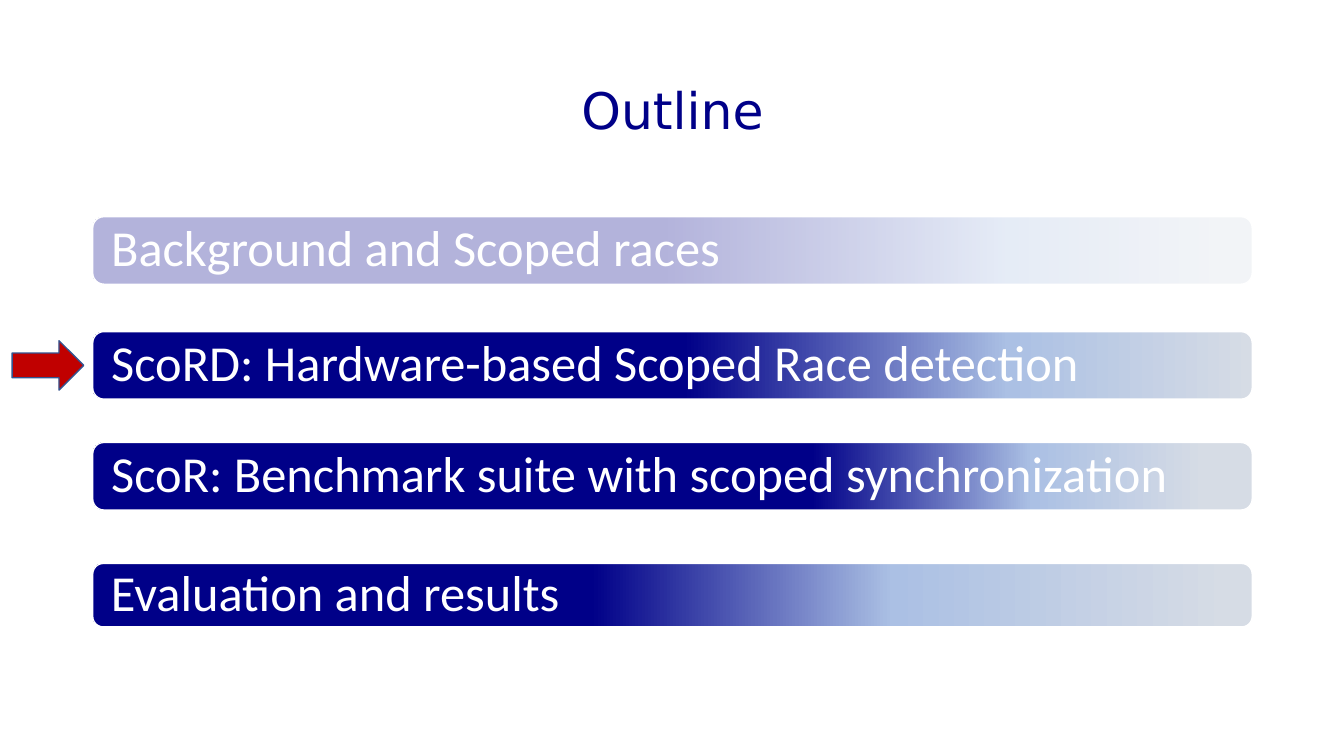
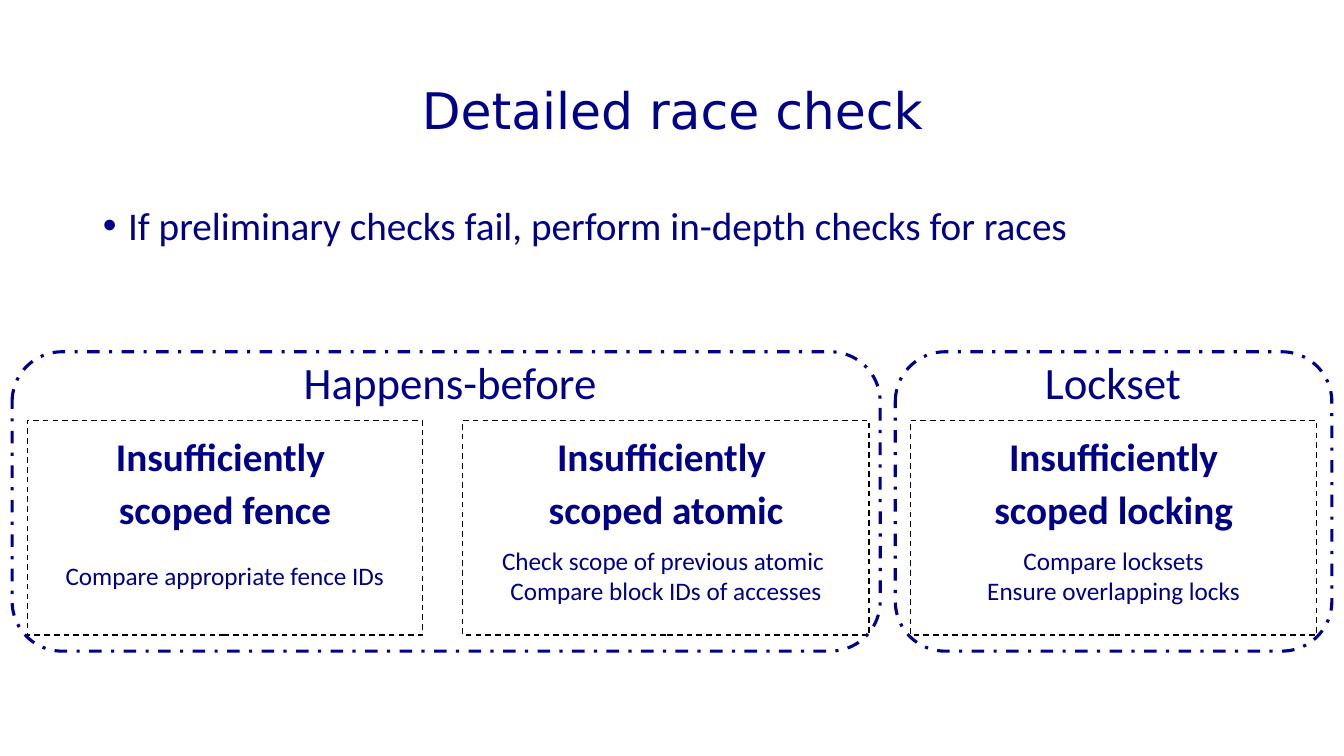
"""Build two slides: a talk outline and a detailed race check."""
from pptx import Presentation
from pptx import util as u
from pptx.dml.color import RGBColor
from pptx.enum import dml, shapes, text
from pptx.oxml import parse_xml
from pptx.oxml.ns import nsdecls

PX = 9144
NAVY = RGBColor(0x00, 0x00, 0x88)
SKY = RGBColor(0xAB, 0xC0, 0xE4)
MIST = RGBColor(0xD6, 0xDC, 0xE5)
WHITE = RGBColor(0xFF, 0xFF, 0xFF)
BLACK = RGBColor(0x00, 0x00, 0x00)
RED = RGBColor(0xC0, 0x00, 0x00)
STEEL = RGBColor(0x32, 0x54, 0x91)
TITLE_FONT, BODY_FONT = "DejaVu Sans", "Calibri"

MARGIN, CONTENT_W = 92, 1150
TITLE_BOX = (MARGIN, 40, CONTENT_W, 145)

OUTLINE = [
    ("Background and Scoped races", 215, 67, (2, 21, 51)),
    ("ScoRD: Hardware-based Scoped Race detection", 329, 67, (0, 21, 49)),
    ("ScoR: Benchmark suite with scoped synchronization", 439, 67, (4, 19, 38)),
    ("Evaluation and results", 559, 63, (2, 31, 57)),
]
CURRENT = 1
ARROW_X, ARROW_W, ARROW_H = 12, 71, 49
VEIL_BOX = (48, 185, 1226, 119)

BODY_BOX = (MARGIN, 200, CONTENT_W, 476)
BULLET = "If preliminary checks fail, perform in-depth checks for races"
CHECKS = [
    (27, 392, ["Insufficiently ", "scoped fence"],
     ["Compare appropriate fence IDs"]),
    (459, 403, ["Insufficiently ", "scoped atomic"],
     ["Check scope of previous atomic ", "Compare block IDs of accesses"]),
    (903, 403, ["Insufficiently", "scoped locking"],
     ["Compare locksets", "Ensure overlapping locks"]),
]
CHECK_Y, CHECK_H = 417, 213
CAPTION_Y, CAPTION_H = 535, 71
GROUPS = [
    ("Happens-before", 12, 861, 290, 313),
    ("Lockset", 888, 433, 1026, 156),
]
GROUP_Y, GROUP_H = 349, 297
HEADING_Y, HEADING_H = 347, 64


def emu(box):
    return [u.Emu(v * PX) for v in box]


def write(tf, lines, size, color=NAVY, font=BODY_FONT, bold=False,
          align=text.PP_ALIGN.CENTER, anchor=text.MSO_ANCHOR.TOP, spacing=None):
    tf.auto_size = text.MSO_AUTO_SIZE.NONE
    tf.vertical_anchor = anchor
    for i, line in enumerate(lines):
        p = tf.add_paragraph() if i else tf.paragraphs[0]
        p.alignment = align
        if spacing:
            p.line_spacing = spacing
        r = p.add_run()
        r.text = line
        r.font.size = u.Pt(size)
        r.font.name = font
        r.font.bold = bold
        r.font.color.rgb = color


def add_shape(s, kind, box, fill=None, line=None, width=1, dash=None):
    sp = s.shapes.add_shape(kind, *emu(box))
    sp.shadow.inherit = False
    if fill is None:
        sp.fill.background()
    else:
        sp.fill.solid()
        sp.fill.fore_color.rgb = fill
    if line is None:
        sp.line.fill.background()
    else:
        sp.line.color.rgb = line
        sp.line.width = u.Pt(width)
        sp.line.dash_style = dash
    return sp


def add_text(s, box, lines, size, **style):
    tf = s.shapes.add_textbox(*emu(box)).text_frame
    tf.word_wrap = False
    write(tf, lines, size, **style)


def place(ph, box):
    ph.left, ph.top, ph.width, ph.height = emu(box)
    return ph.text_frame


def new_slide(prs, layout, title):
    s = prs.slides.add_slide(prs.slide_layouts.get_by_name(layout))
    write(place(s.shapes.title, TITLE_BOX), [title], 36, font=TITLE_FONT,
          anchor=text.MSO_ANCHOR.MIDDLE, spacing=0.9)
    return s


def fade(sp, stops):
    sp.fill.gradient()
    sp.fill.gradient_angle = 180
    gs_list = sp._element.spPr.find(".//{*}gsLst")
    for gs in list(gs_list):
        gs_list.remove(gs)
    for pos, color in zip((*stops, 100), (MIST, SKY, NAVY, NAVY)):
        gs_list.append(parse_xml(
            f'<a:gs {nsdecls("a")} pos="{pos * 1000}">'
            f'<a:srgbClr val="{color}"/></a:gs>'))


def outline_slide(prs):
    s = new_slide(prs, "Title Only", "Outline")
    for topic, y, h, stops in OUTLINE:
        sp = add_shape(s, shapes.MSO_SHAPE.ROUNDED_RECTANGLE,
                       (MARGIN, y, CONTENT_W, h), WHITE, WHITE)
        fade(sp, stops)
        tf = sp.text_frame
        tf.margin_left = tf.margin_right = u.Emu(15 * PX)
        tf.margin_top = tf.margin_bottom = 0
        write(tf, [topic], 36, WHITE, align=text.PP_ALIGN.LEFT,
              anchor=text.MSO_ANCHOR.MIDDLE, spacing=0.9)
    _, y, h, _ = OUTLINE[CURRENT]
    add_shape(s, shapes.MSO_SHAPE.RIGHT_ARROW,
              (ARROW_X, y + (h - ARROW_H) // 2, ARROW_W, ARROW_H), RED, STEEL)
    veil = add_shape(s, shapes.MSO_SHAPE.RECTANGLE, VEIL_BOX, WHITE)
    veil._element.spPr.find(".//{*}srgbClr").append(
        parse_xml(f'<a:alpha {nsdecls("a")} val="70000"/>'))


def check_slide(prs):
    s = new_slide(prs, "Title and Content", "Detailed race check")
    tf = place(s.placeholders[1], BODY_BOX)
    write(tf, [BULLET], 28, align=text.PP_ALIGN.LEFT, spacing=0.9)
    p = tf.paragraphs[0]
    p.space_before = u.Pt(10)
    pPr = p._p.get_or_add_pPr()
    pPr.set("marL", str(25 * PX))
    pPr.set("indent", str(-25 * PX))

    for x, w, name, _ in CHECKS:
        sp = add_shape(s, shapes.MSO_SHAPE.RECTANGLE, (x, CHECK_Y, w, CHECK_H),
                       line=BLACK, dash=dml.MSO_LINE.DASH)
        write(sp.text_frame, name, 28, bold=True, spacing=1.14)
    for x, w, _, caption in CHECKS:
        add_text(s, (x, CAPTION_Y, w, CAPTION_H), caption, 18,
                 anchor=text.MSO_ANCHOR.MIDDLE)
    for heading, x, w, heading_x, heading_w in GROUPS:
        add_shape(s, shapes.MSO_SHAPE.ROUNDED_RECTANGLE,
                  (x, GROUP_Y, w, GROUP_H), line=NAVY, width=2.25,
                  dash=dml.MSO_LINE.DASH_DOT)
        add_text(s, (heading_x, HEADING_Y, heading_w, HEADING_H), [heading], 32)


def main():
    prs = Presentation()
    prs.slide_width, prs.slide_height = emu((1333, 750))
    outline_slide(prs)
    check_slide(prs)
    prs.save("out.pptx")


if __name__ == "__main__":
    main()
